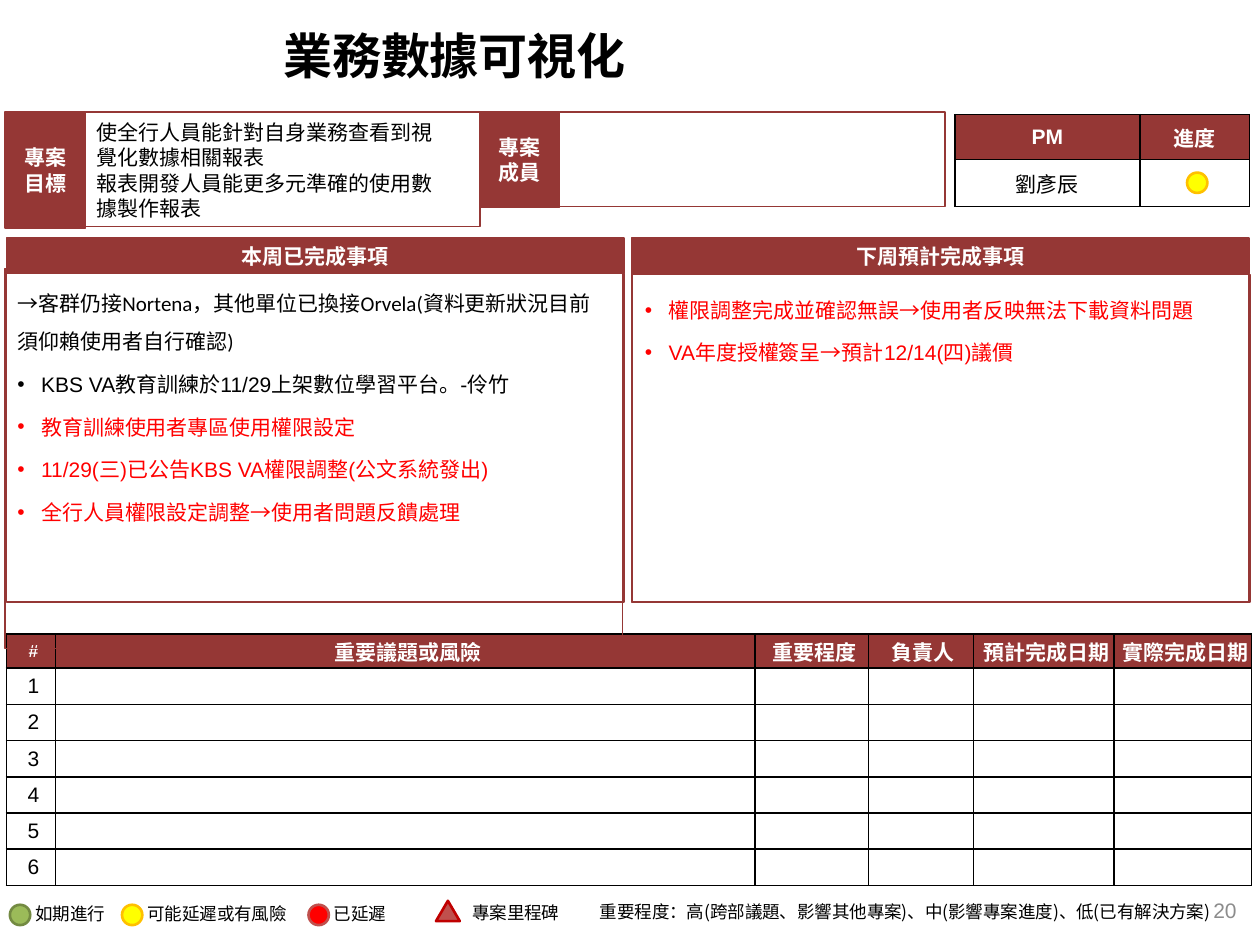
from pptx import Presentation
from pptx.dml.color import RGBColor
from pptx.enum.shapes import MSO_SHAPE
from pptx.enum.text import MSO_ANCHOR, PP_ALIGN
from pptx.oxml.ns import qn
from pptx.util import Cm, Pt
from lxml.etree import SubElement

BRICK = RGBColor(0x95, 0x37, 0x35)
WHITE = RGBColor(0xFF, 0xFF, 0xFF)
BLACK = RGBColor(0, 0, 0)
GREY = RGBColor(0x8C, 0x8C, 0x8C)
RED = RGBColor(0xFF, 0, 0)
DARK_RED = RGBColor(0xC0, 0, 0)
ROSE = RGBColor(0xC0, 0x50, 0x4D)
GREEN = RGBColor(0x9B, 0xBB, 0x59)
MOSS = RGBColor(0x73, 0x8A, 0x42)
YELLOW = RGBColor(0xFF, 0xFF, 0)
AMBER = RGBColor(0xFF, 0xC0, 0)
SANS = "Noto Sans CJK SC"

DONE = [
    ("→客群仍接Nortena，其他單位已換接Orvela(資料更新狀況目前須仰賴使用者自行確認)",
     BLACK, "Calibri", False),
    ("KBS VA教育訓練於11/29上架數位學習平台。-伶竹", BLACK, "Arial", True),
    ("教育訓練使用者專區使用權限設定", RED, "Arial", True),
    ("11/29(三)已公告KBS VA權限調整(公文系統發出)", RED, "Arial", True),
    ("全行人員權限設定調整→使用者問題反饋處理", RED, "Calibri", True),
]
NEXT = [
    ("權限調整完成並確認無誤→使用者反映無法下載資料問題", RED, "Arial", True),
    ("VA年度授權簽呈→預計12/14(四)議價", RED, "Arial", True),
]
RISKS = ["#", "重要議題或風險", "重要程度", "負責人", "預計完成日期", "實際完成日期"]
LIGHTS = [
    (0.2, 1.93, "如期進行", GREEN, MOSS),
    (2.46, 3.35, "可能延遲或有風險", YELLOW, AMBER),
    (6.22, 1.57, "已延遲", RED, ROSE),
]


def add_run(para, text, size=12, color=BLACK, font="Arial", bold=False):
    run = para.add_run()
    run.text = text
    run.font.size = Pt(size)
    run.font.name = font
    run.font.bold = bold
    run.font.color.rgb = color


def add_lines(frame, lines, align=PP_ALIGN.LEFT, **style):
    for i, line in enumerate(lines):
        para = frame.add_paragraph() if i else frame.paragraphs[0]
        para.alignment = align
        add_run(para, line, **style)


def add_text(slide, box, lines, align=PP_ALIGN.LEFT, anchor=MSO_ANCHOR.TOP,
             wrap=True, **style):
    frame = slide.shapes.add_textbox(*map(Cm, box)).text_frame
    frame.word_wrap = wrap
    frame.vertical_anchor = anchor
    add_lines(frame, lines, align, **style)
    return frame


def add_form(slide, box, fill=None, line=BRICK, width=0.75,
             kind=MSO_SHAPE.RECTANGLE):
    form = slide.shapes.add_shape(kind, *map(Cm, box))
    form.shadow.inherit = False
    if fill is None:
        form.fill.background()
    else:
        form.fill.solid()
        form.fill.fore_color.rgb = fill
    form.line.color.rgb = line
    form.line.width = Pt(width)
    return form


def add_label(slide, box, lines):
    """Brick block with bold white centred text."""
    frame = add_form(slide, box, fill=BRICK).text_frame
    frame.word_wrap = True
    frame.vertical_anchor = MSO_ANCHOR.MIDDLE
    add_lines(frame, lines, PP_ALIGN.CENTER, color=WHITE, bold=True)


def add_light(slide, left, top, fill, line):
    add_form(slide, (left, top, 0.41, 0.41), fill, line, 1.5, MSO_SHAPE.OVAL)


def add_items(slide, box, items):
    """Framed list, bulleted where an item asks for it."""
    frame = add_form(slide, box).text_frame
    frame.word_wrap = True
    frame.vertical_anchor = MSO_ANCHOR.TOP
    frame.margin_left = frame.margin_right = Cm(0.25)
    frame.margin_top = frame.margin_bottom = Cm(0.2)
    for i, (text, color, font, dot) in enumerate(items):
        para = frame.add_paragraph() if i else frame.paragraphs[0]
        para.alignment = PP_ALIGN.LEFT
        para.line_spacing = 1.5
        para.space_after = Pt(2.8)
        if dot:
            props = para._p.get_or_add_pPr()
            props.set("marL", str(Cm(0.48)))
            props.set("indent", str(-Cm(0.48)))
            SubElement(props, qn("a:buFont"), typeface="Arial")
            SubElement(props, qn("a:buChar"), char="•")
        add_run(para, text, color=color, font=font)


def add_borders(cell):
    props = cell._tc.get_or_add_tcPr()
    for i, side in enumerate(("lnL", "lnR", "lnT", "lnB")):
        line = props.makeelement(qn(f"a:{side}"), {"w": str(Pt(1))})
        fill = SubElement(line, qn("a:solidFill"))
        SubElement(fill, qn("a:srgbClr"), val=str(BLACK))
        props.insert(i, line)


def add_grid(slide, left, top, cols, rows, data, pad=0.0):
    """Bordered table with a brick header row."""
    table = slide.shapes.add_table(
        len(rows), len(cols), Cm(left), Cm(top), Cm(sum(cols)), Cm(sum(rows))).table
    for col, width in zip(table.columns, cols):
        col.width = Cm(width)
    for r, height in enumerate(rows):
        table.rows[r].height = Cm(height)
        for c, text in enumerate(data[r]):
            cell = table.cell(r, c)
            cell.vertical_anchor = MSO_ANCHOR.MIDDLE
            cell.margin_left = Cm(0.1)
            cell.margin_right = Cm(pad)
            cell.margin_top = cell.margin_bottom = 0
            cell.fill.solid()
            cell.fill.fore_color.rgb = WHITE if r else BRICK
            add_borders(cell)
            para = cell.text_frame.paragraphs[0]
            para.alignment = PP_ALIGN.CENTER
            if text:
                add_run(para, text, size=10 if text == "#" else 12,
                        color=BLACK if r else WHITE, bold=not r)
            else:
                SubElement(para._p, qn("a:endParaRPr"), sz="1200")


def add_key(slide):
    """Legend along the foot of the slide."""
    add_form(slide, (8.79, 18.16, 0.48, 0.41), ROSE, DARK_RED, 1.5,
             MSO_SHAPE.ISOSCELES_TRIANGLE)
    add_text(slide, (9.27, 18.06, 2.57, 0.69), ["專案里程碑"], size=10, font=SANS)
    note = add_text(
        slide, (11.84, 17.91, 13, 0.94),
        ["重要程度：高(跨部議題、影響其他專案)、中(影響專案進度)、低(已有解決方案)"],
        size=10, font=SANS)
    note.margin_top = note.margin_bottom = Cm(0.25)
    for left, width, text, fill, line in LIGHTS:
        add_light(slide, left, 18.24, fill, line)
        add_text(slide, (left + 0.26, 18.08, width, 0.69), [text], wrap=False, size=10)


def main():
    deck = Presentation()
    deck.slide_width, deck.slide_height = Cm(25.4), Cm(19.05)
    slide = deck.slides.add_slide(deck.slide_layouts[6])

    add_text(slide, (19.46, 17.83, 5.72, 1.02), ["20"], PP_ALIGN.RIGHT,
             MSO_ANCHOR.MIDDLE, color=GREY)
    add_text(slide, (5.46, 0.23, 19.35, 1.75), ["業務數據可視化"],
             anchor=MSO_ANCHOR.MIDDLE, size=28, font=SANS, bold=True)
    add_grid(slide, 19.25, 2.31, [3.73, 2.21], [0.91, 0.94],
             [["PM", "進度"], ["劉彥辰", ""]], pad=0.1)

    add_label(slide, (9.68, 2.26, 1.6, 1.93), ["專案", "成員"])
    add_form(slide, (11.28, 2.26, 7.77, 1.91))
    add_label(slide, (0.1, 2.26, 1.63, 2.34), ["專案", "目標"])
    add_form(slide, (1.73, 2.26, 7.95, 2.31))

    for left, head in ((0.13, "本周已完成事項"), (12.73, "下周預計完成事項")):
        add_label(slide, (left, 4.8, 12.45, 0.72), [head])
        add_form(slide, (left, 5.52, 12.45, 6.62))

    add_key(slide)
    add_light(slide, 23.93, 3.48, YELLOW, AMBER)
    blank = [""] * 5
    add_grid(slide, 0.13, 12.78, [0.99, 14.1, 2.29, 2.11, 2.84, 2.77],
             [0.69] + [0.73] * 6, [RISKS] + [[str(n)] + blank for n in range(1, 7)])
    add_text(slide, (1.7, 2.29, 7.47, 2.31),
             ["使全行人員能針對自身業務查看到視覺化數據相關報表",
              "報表開發人員能更多元準確的使用數據製作報表"])
    add_items(slide, (0.1, 5.41, 12.45, 7.67), DONE)
    add_items(slide, (12.75, 5.54, 12.45, 6.6), NEXT)
    deck.save("out.pptx")


if __name__ == "__main__":
    main()
